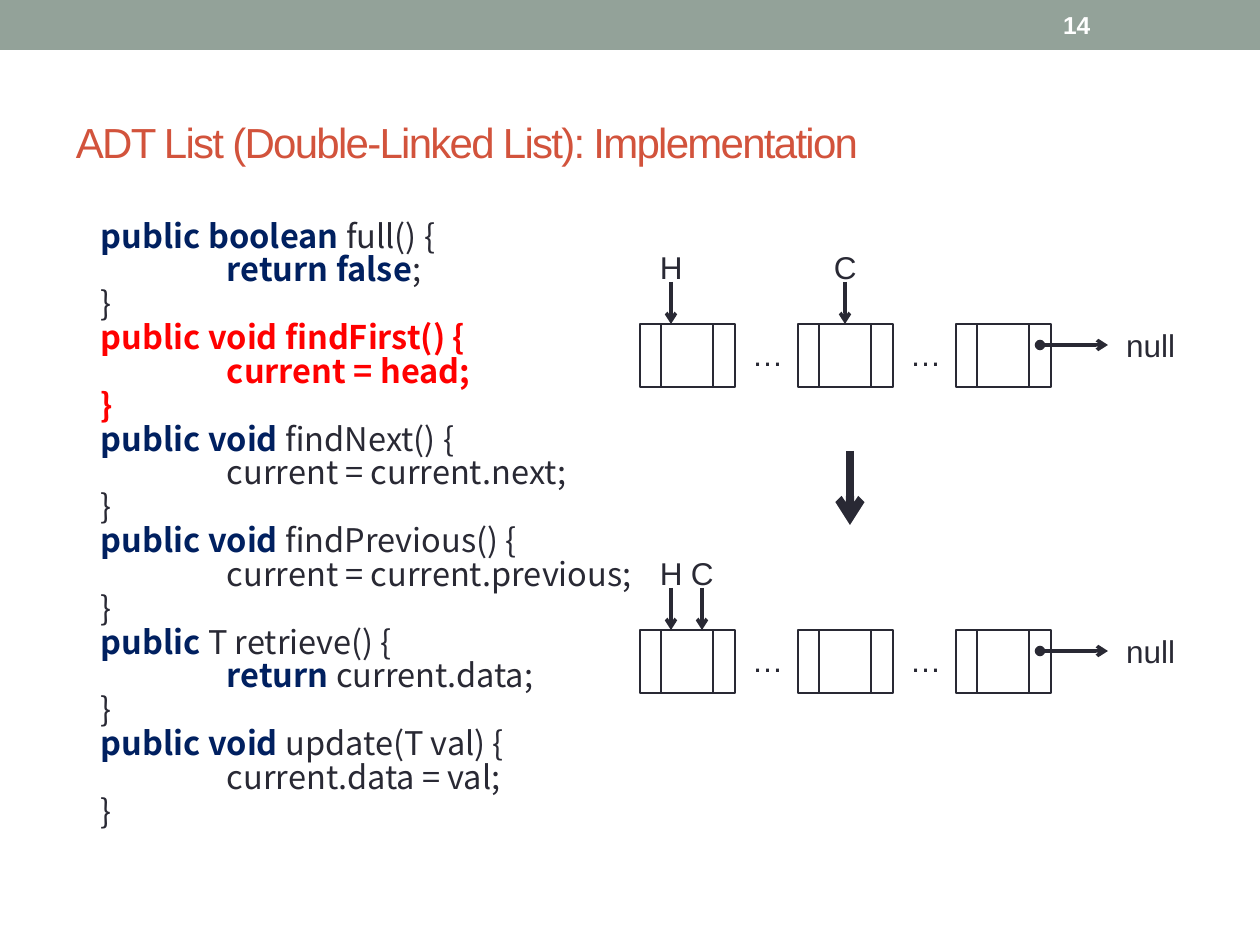
import pptx
import pptx.util
import pptx.dml.color
import pptx.enum.shapes
import pptx.enum.text
import pptx.oxml
import pptx.oxml.ns

INK, NAVY, RED = "292934", "002060", "FF0000"


def px(n):
    return pptx.util.Emu(round(n * 914400 / 126))


def hue(code):
    return pptx.dml.color.RGBColor.from_string(code)


deck = pptx.Presentation()
deck.slide_width, deck.slide_height = px(1260), px(945)
slide = deck.slides.add_slide(deck.slide_layouts[6])
items = slide.shapes
kinds = pptx.enum.shapes.MSO_SHAPE
anchors = pptx.enum.text.MSO_ANCHOR


def text(rows, at, size=18, font="Arial", wrap=False, mid=False, inset=13, lead=None, space=0, track=0):
    box = items.add_textbox(*map(px, at))
    frame = box.text_frame
    frame.word_wrap = wrap
    frame.margin_left = px(inset)
    frame.vertical_anchor = anchors.MIDDLE if mid else anchors.TOP
    for i, row in enumerate(rows):
        para = frame.paragraphs[0] if i == 0 else frame.add_paragraph()
        para.line_spacing = lead
        para.space_before = pptx.util.Pt(space if i else 0)
        for word, tint, bold in row:
            run = para.add_run()
            run.text = word
            run.font.size = pptx.util.Pt(size)
            run.font.name = font
            run.font.bold = bold
            run.font.color.rgb = hue(tint)
            props = run._r.get_or_add_rPr()
            if track:
                props.set("spc", str(track))
            if font != "Arial":
                face = pptx.oxml.ns.qn("a:ea")
                props.append(props.makeelement(face, {"typeface": font}))


def arrow(x1, y1, x2, y2, width=2, dot=False):
    line = items.add_connector(pptx.enum.shapes.MSO_CONNECTOR.STRAIGHT, px(x1), px(y1), px(x2), px(y2))
    line.line.width = pptx.util.Pt(width)
    line.line.color.rgb = hue(INK)
    stroke = line.line._get_or_add_ln()
    ends = [("a:headEnd", "oval")] * dot + [("a:tailEnd", "arrow")]
    for tag, kind in ends:
        stroke.append(stroke.makeelement(pptx.oxml.ns.qn(tag), {"type": kind}))
    props = line._element.spPr
    props.append(props.makeelement(pptx.oxml.ns.qn("a:effectLst"), {}))
    return line


band = items.add_shape(kinds.RECTANGLE, 0, 0, px(1260), px(50))
band.shadow.inherit = False
band.fill.solid()
band.fill.fore_color.rgb = hue("93A299")
band.line.fill.background()

title = "ADT List (Double-Linked List): Implementation"
text([[(title, "D2533C", False)]], (63, 74, 1134, 136), size=24, wrap=True, mid=True, track=-100)
text([[("14", "FFFFFF", True)]], (1050, 2, 147, 45), size=14, wrap=True, mid=True)

methods = [
    ("public boolean", " full() {", "return false", ";", NAVY),
    ("public void findFirst() {", "", "current = head;", "", RED),
    ("public void ", "findNext() {", "", "current = current.next;", NAVY),
    ("public void ", "findPrevious() {", "", "current = current.previous;", NAVY),
    ("public", " T retrieve() {", "return ", "current.data;", NAVY),
    ("public void", " update(T val) {", "", "current.data = val;", NAVY),
]
code = []
for head, name, key, rest, tint in methods:
    hot = tint == RED
    code.append([(head, tint, True), (name, INK, False)])
    code.append([("\t\t" + key, tint, True), (rest, INK, False)])
    code.append([("}", RED if hot else INK, hot)])
code = [[part for part in row if part[0]] for row in code]
text(code, (63, 220, 1134, 672), size=18.6, font="Noto Sans CJK SC", wrap=True, inset=38, lead=0.7, space=3.2 + 0.5)

for top, marks in [(324, [("H", 671), ("C", 845)]), (630, [("H", 671), ("C", 702)])]:
    cores = []
    for left in range(640, 957, 158):
        node = items.add_group_shape()
        for dx, wide in [(21, 52), (73, 22), (0, 21)]:
            cell = node.shapes.add_shape(kinds.RECTANGLE, px(left + dx), px(top), px(wide), px(63))
            cell.shadow.inherit = False
            cell.fill.background()
            cell.line.color.rgb = hue(INK)
            cell.line.width = pptx.util.Pt(0.75)
            if dx == 21:
                cores.append((left + dx + wide // 2, cell))
    for left in (739, 897):
        text([[("…", INK, False)]], (left, top + 5, 57, 50))
    for name, x in marks:
        text([[(name, INK, False)]], (x - 24, top - 82, 49, 50))
        link = arrow(x, top - 42, x, top)
        for mid, cell in cores:
            if mid == x:
                link.end_connect(cell, 0)
    arrow(1040, top + 21, 1108, top + 21, dot=True)
    text([[("null", INK, False)]], (1113, top - 4, 83, 50))

arrow(850, 451, 850, 525, width=4.75)

deck.save("out.pptx")
